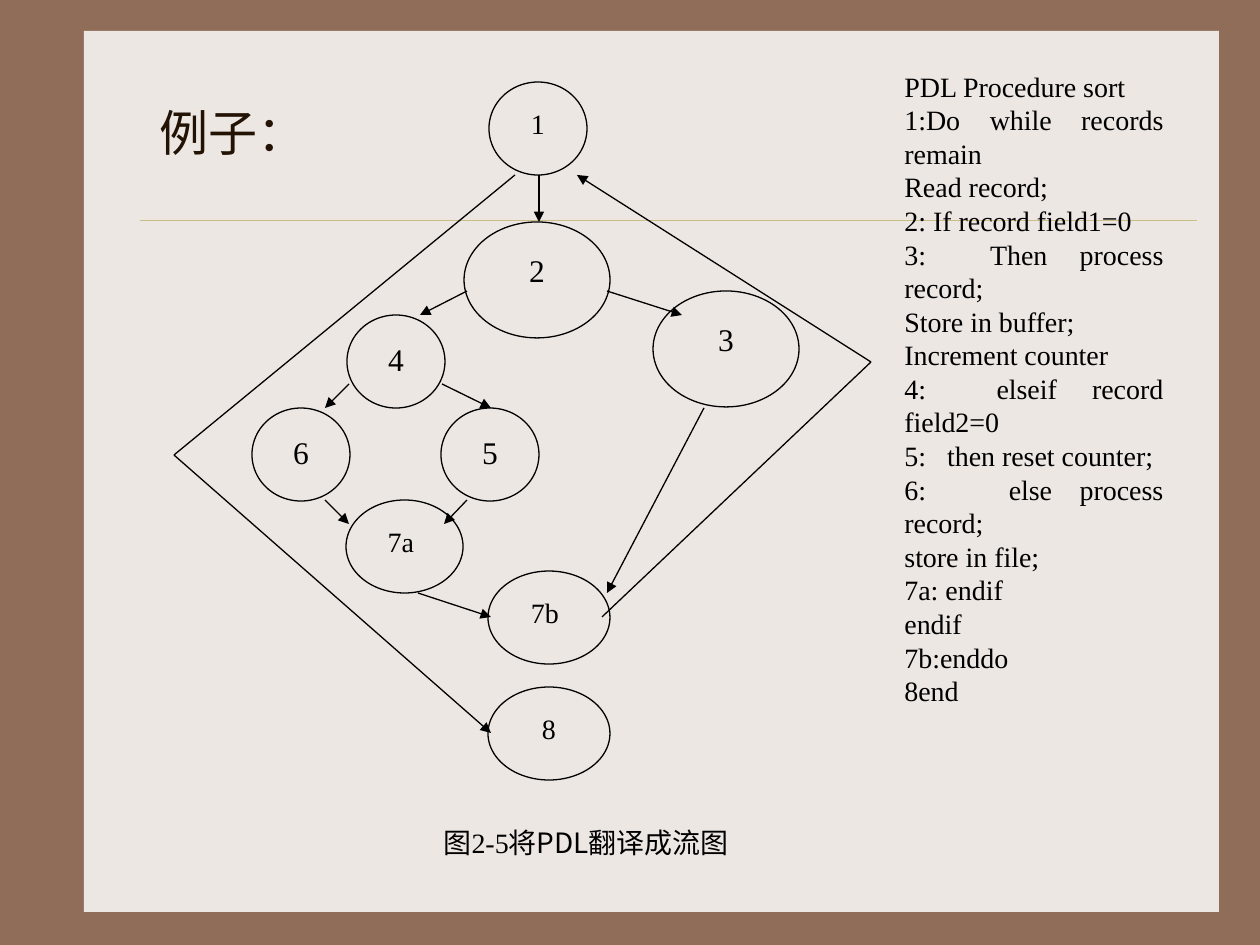
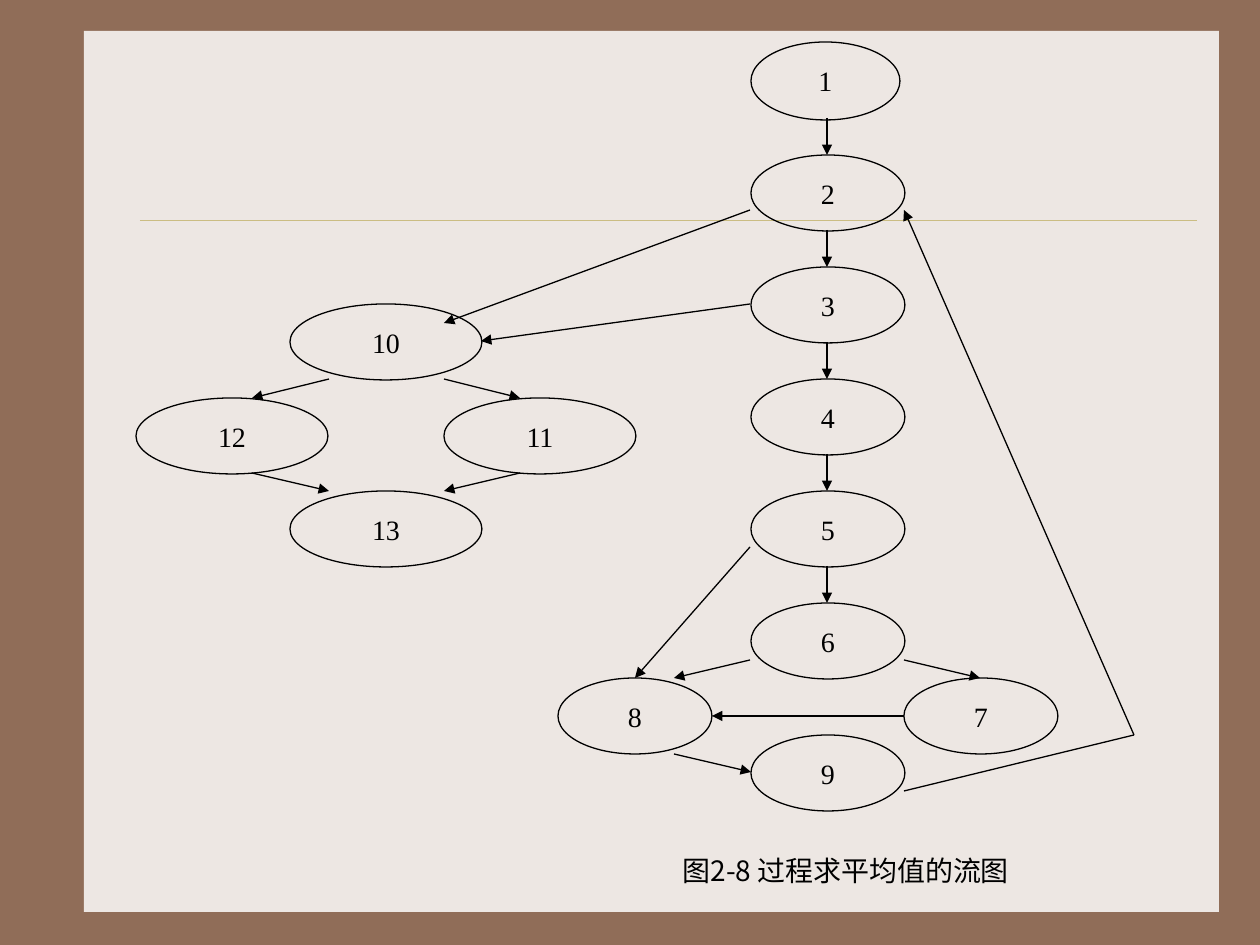
from lxml import etree
from pptx import Presentation
from pptx.dml.color import RGBColor
from pptx.enum.shapes import MSO_CONNECTOR as Conn, MSO_SHAPE as Kind
from pptx.enum.text import MSO_ANCHOR as Anchor, PP_ALIGN as Align
from pptx.oxml.ns import qn
from pptx.util import Emu, Pt

COLORS = {"back": "906D58", "panel": "EDE7E3", "rule": "CBBD83",
          "title": "221304", "ink": "000000"}
SERIF, HAN = "Times New Roman", "Noto Sans CJK SC"
SCALE = 914400 / 126

CODE = """PDL Procedure sort
1:Do while records remain
Read record;
2: If record field1=0
3:  Then process record;
Store in buffer;
Increment counter
4:  elseif record field2=0
5:   then reset counter;
6:   else process record;
store in file;
7a: endif
endif
7b:enddo
8end"""


def emu(*px):
    return [Emu(round(n * SCALE)) for n in px]


def tint(key):
    return RGBColor.from_string(COLORS[key])


def add_run(para, text, size=16, font=SERIF, color="ink"):
    run = para.add_run()
    run.text = text
    run.font.size = Pt(size)
    run.font.name = font
    run.font.color.rgb = tint(color)
    etree.SubElement(run.font._element, qn("a:ea"), typeface=HAN)


def add_text(slide, box, lines, align=Align.CENTER):
    """Add a text box; each line is a list of add_run argument tuples."""
    frame = slide.shapes.add_textbox(*emu(*box)).text_frame
    frame.word_wrap = True
    for i, runs in enumerate(lines):
        para = frame.add_paragraph() if i else frame.paragraphs[0]
        para.alignment = align
        for run in runs:
            add_run(para, *run)


def add_line(slide, start, end, color="ink", width=0.75, arrow=False):
    line = slide.shapes.add_connector(Conn.STRAIGHT, *emu(*start, *end))
    line.line.color.rgb = tint(color)
    line.line.width = Pt(width)
    if arrow:
        etree.SubElement(line.line._get_or_add_ln(), qn("a:tailEnd"), type="triangle")
    etree.SubElement(line._element.spPr, qn("a:effectLst"))
    return line


def set_master(deck, slide):
    """Draw the panel and rule once and move them onto the master."""
    master = deck.slide_master
    fill = master.background.fill
    fill.solid()
    fill.fore_color.rgb = tint("back")
    panel = slide.shapes.add_shape(Kind.RECTANGLE, *emu(84, 31, 1135, 881))
    panel.shadow.inherit = False
    panel.fill.solid()
    panel.fill.fore_color.rgb = tint("panel")
    panel.line.fill.background()
    rule = add_line(slide, (140, 220), (1197, 220), "rule", 0.25)
    for i, part in enumerate((panel, rule)):
        node = part._element
        node.xpath(".//p:cNvPr")[0].set("id", str(50 + i))
        master.shapes._spTree.insert(2 + i, node)


def set_title(slide, box, text):
    title = slide.shapes.title
    title.left, title.top, title.width, title.height = emu(*box)
    frame = title.text_frame
    frame.vertical_anchor = Anchor.MIDDLE
    para = frame.paragraphs[0]
    para.alignment = Align.JUSTIFY
    add_run(para, text, 28, HAN, "title")


def add_node(slide, box, text, size, align):
    """Draw an ellipse with its label inset by a quarter and a fifth."""
    x, y, w, h = box
    oval = slide.shapes.add_shape(Kind.OVAL, *emu(*box))
    oval.shadow.inherit = False
    oval.fill.background()
    oval.line.color.rgb = tint("ink")
    oval.line.width = Pt(0.75)
    label = (x + w / 4, y + h / 5, w / 2, h * 3 / 5)
    add_text(slide, label, [[(text, size)]], align)


def add_graph(slide, origin, nodes, routes):
    """Draw nodes and arrow-tipped routes relative to the origin."""
    left, top = origin
    for text, x, y, (w, h), size in nodes:
        align = Align.JUSTIFY if len(text) > 1 and text[-1].isalpha() else Align.CENTER
        add_node(slide, (left + x, top + y, w, h), text, size, align)
    for route in routes:
        points = [(left + x, top + y) for x, y in route]
        last = len(points) - 2
        for i, (start, end) in enumerate(zip(points, points[1:])):
            add_line(slide, start, end, arrow=i == last)


def sort_slide(slide):
    set_title(slide, (147, 53, 1050, 157), "例子：")
    small, oval, big = (98, 93), (122, 93), (146, 116)
    nodes = [
        ("1", 315, 0, small, 16), ("2", 290, 140, big, 18),
        ("3", 479, 209, big, 18), ("4", 173, 233, small, 18),
        ("5", 267, 326, small, 18), ("6", 78, 326, small, 18),
        ("7a", 172, 418, (117, 93), 16), ("7b", 314, 489, oval, 16),
        ("8", 314, 605, oval, 16),
    ]
    routes = [
        [(365, 93), (365, 140)],
        [(293, 209), (246, 233)],
        [(433, 209), (508, 233)],
        [(175, 302), (151, 326)],
        [(268, 302), (317, 326)],
        [(151, 418), (175, 442)],
        [(293, 418), (270, 442)],
        [(244, 511), (317, 535)],
        [(530, 326), (433, 511)],
        [(341, 93), (0, 373), (317, 651)],
        [(428, 535), (697, 280), (403, 93)],
    ]
    add_graph(slide, (174, 82), nodes, routes)
    add_text(slide, (412, 819, 348, 58),
             [[("图2-5将",), ("PDL翻译成流图", 16, HAN)]])
    add_text(slide, (892, 63, 284, 756),
             [[(line,)] for line in CODE.splitlines()], Align.JUSTIFY)


def mean_slide(slide):
    oval, wide, step = (154, 76), (192, 76), 112
    nodes = [("1", 615, 0, (149, 78), 16)]
    nodes += [(str(k + 1), 615, 1 + step * k, oval, 16) for k in range(1, 6)]
    nodes += [
        ("7", 768, 636, oval, 16), ("8", 422, 636, oval, 16),
        ("9", 615, 693, oval, 16), ("10", 154, 262, wide, 16),
        ("11", 308, 356, wide, 16), ("12", 0, 356, wide, 16),
        ("13", 154, 449, wide, 16),
    ]
    routes = [[(691, 76 + step * k), (691, 113 + step * k)] for k in range(5)]
    routes += [
        [(614, 618), (538, 636)],
        [(768, 618), (844, 636)],
        [(538, 712), (615, 730)],
        [(614, 505), (499, 636)],
        [(193, 337), (116, 356)],
        [(308, 337), (384, 356)],
        [(116, 431), (193, 449)],
        [(384, 431), (308, 449)],
        [(614, 262), (345, 299)],
        [(614, 168), (308, 281)],
        [(768, 749), (998, 693), (768, 168)],
        [(768, 674), (576, 674)],
    ]
    add_graph(slide, (136, 42), nodes, routes)
    add_text(slide, (558, 847, 576, 57), [[("图2-8 过程求平均值的流图", 16, HAN)]])


def main():
    deck = Presentation()
    deck.slide_width, deck.slide_height = emu(1260, 945)
    first = deck.slides.add_slide(deck.slide_layouts[5])
    set_master(deck, first)
    sort_slide(first)
    mean_slide(deck.slides.add_slide(deck.slide_layouts[6]))
    deck.save("out.pptx")


if __name__ == "__main__":
    main()
